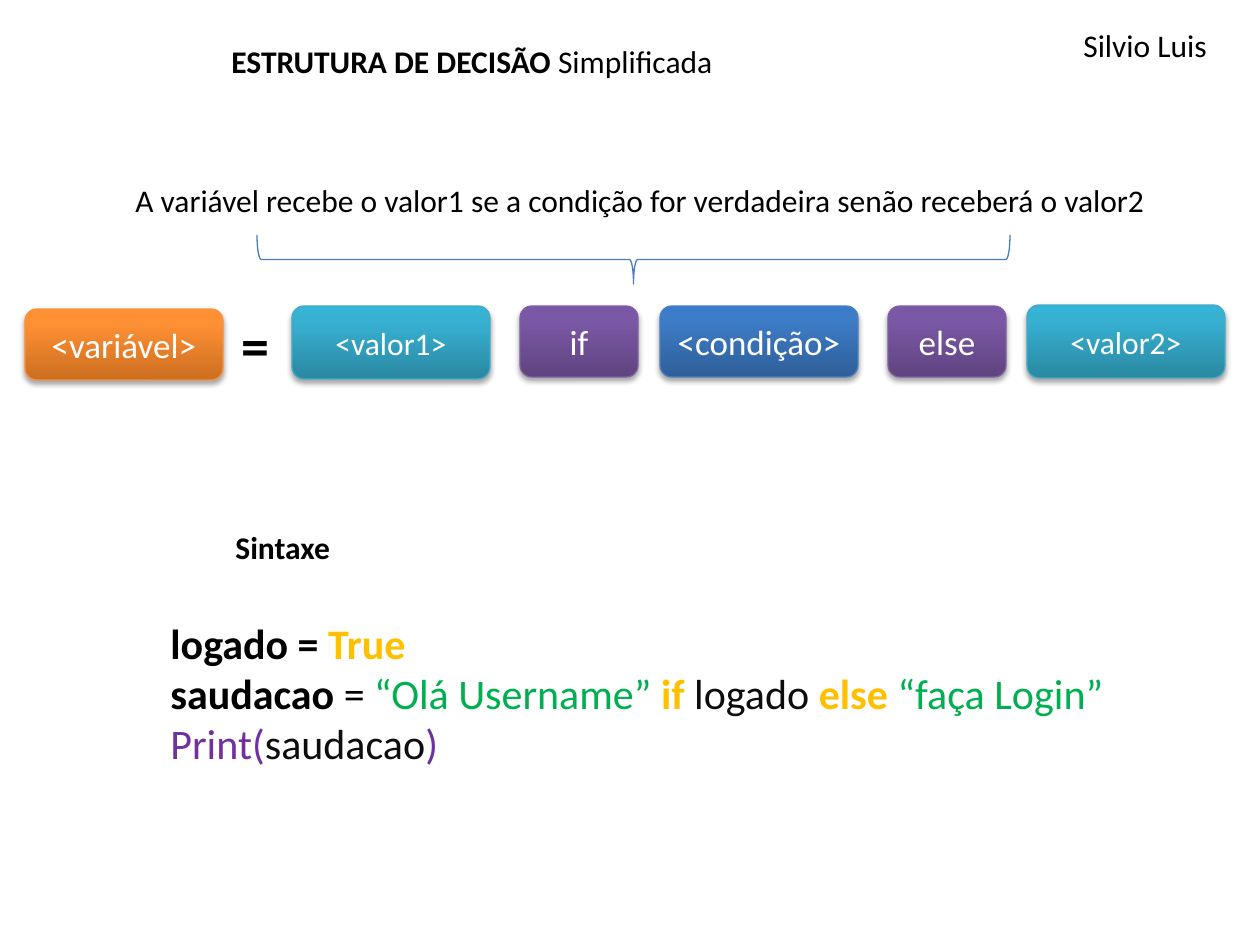
import pptx
import pptx.dml.color
import pptx.enum.shapes
import pptx.enum.text
import pptx.oxml
import pptx.oxml.ns
import pptx.util

SCALE = 914400 / 126  # EMU per px
SHAPES = pptx.enum.shapes.MSO_SHAPE
TEXT = pptx.enum.text

BLACK, WHITE, INK = "000000", "FFFFFF", "0D0D0D"
GOLD, GREEN, VIOLET = "FFC000", "00B050", "7030A0"

# Gradient from bottom to top (0, 80 and 100 %), then the outline
ORANGE = ("CC6E20", "FF9034", "FF9136", "F69240")
TEAL = ("2A88A2", "37B1D2", "34B4D6", "46AAC5")
PURPLE = ("5F4480", "7B58A6", "7C57A8", "7D60A0")
BLUE = ("2F5F99", "3D7CC7", "3A7CCB", "4B7EBC")


def px(length):
    return pptx.util.Emu(round(length * SCALE))


def color(code):
    return pptx.dml.color.RGBColor.from_string(code)


def element(markup):
    tag, rest = markup.split(" ", 1)
    return pptx.oxml.parse_xml(f"{tag} {pptx.oxml.ns.nsdecls('a')} {rest}")


class Page:
    font = "Calibri"
    line_width = pptx.util.Pt(0.75)

    def __init__(self, deck):
        self.slide = deck.slides.add_slide(deck.slide_layouts[6])

    def add_spans(self, para, size, runs):
        for text, code, bold in runs:
            span = para.add_run()
            span.text = text
            span.font.name = self.font
            span.font.size = pptx.util.Pt(size)
            span.font.bold = bold
            span.font.color.rgb = color(code)

    def text(self, place, size, *lines, wrap=False):
        box = self.slide.shapes.add_textbox(*map(px, place))
        frame = box.text_frame
        frame.word_wrap = wrap
        frame.auto_size = TEXT.MSO_AUTO_SIZE.SHAPE_TO_FIT_TEXT
        for index, runs in enumerate(lines):
            para = frame.add_paragraph() if index else frame.paragraphs[0]
            self.add_spans(para, size, runs)

    def shape(self, kind, place, outline):
        shape = self.slide.shapes.add_shape(kind, *map(px, place))
        shape.shadow.inherit = False
        shape.line.color.rgb = color(outline)
        shape.line.width = self.line_width
        return shape

    def block(self, place, label, size, palette):
        *shades, outline = palette
        block = self.shape(SHAPES.ROUNDED_RECTANGLE, place, outline)
        # Three-stop gradient
        block.fill.gradient()
        block.fill.gradient_angle = 90
        stops = block._element.spPr.find(".//" + pptx.oxml.ns.qn("a:gsLst"))
        stops.clear()
        for position, shade in zip((0, 80, 100), shades):
            stops.append(element(
                f'<a:gs pos="{position * 1000}"><a:srgbClr val="{shade}"/></a:gs>'))
        # Soft shadow below
        effects = block._element.spPr.find(pptx.oxml.ns.qn("a:effectLst"))
        effects.append(element(
            f'<a:outerShdw blurRad="{pptx.util.Pt(3.1)}" dist="{pptx.util.Pt(1.8)}" '
            'dir="5400000" rotWithShape="0"><a:srgbClr val="000000">'
            '<a:alpha val="35000"/></a:srgbClr></a:outerShdw>'))
        # Centred label
        frame = block.text_frame
        frame.word_wrap = True
        frame.vertical_anchor = TEXT.MSO_ANCHOR.MIDDLE
        para = frame.paragraphs[0]
        para.alignment = TEXT.PP_ALIGN.CENTER
        self.add_spans(para, size, [(label, WHITE, False)])

    def brace(self, place, outline):
        brace = self.shape(SHAPES.RIGHT_BRACE, place, outline)
        brace.fill.background()
        brace.rotation = 90


def main():
    deck = pptx.Presentation()
    deck.slide_width, deck.slide_height = px(1260), px(945)
    page = Page(deck)

    # Header
    page.text((1071, 20, 150, 50), 18, [("Silvio Luis", BLACK, False)])
    page.text((219, 36, 828, 50), 18, [("ESTRUTURA DE DECISÃO ", BLACK, True),
                                       ("Simplificada", BLACK, False)], wrap=True)

    # Building blocks of the expression
    wide, narrow = 198, 118
    for left, top, width, height, label, size, palette in (
        (25, 309, wide, 71, "<variável>", 20, ORANGE),
        (292, 306, wide, 73, "<valor1>", 18, TEAL),
        (520, 306, narrow, 71, "if", 20, PURPLE),
        (660, 306, wide, 71, "<condição>", 20, BLUE),
        (888, 306, narrow, 71, "else", 20, PURPLE),
        (1027, 305, wide, 73, "<valor2>", 18, TEAL),
    ):
        page.block((left, top, width, height), label, size, palette)
    page.text((229, 304, 54, 81), 32, [("=", BLACK, True)])

    # Explanation and brace
    page.text((123, 175, 1047, 50), 18, [
        ("A variável recebe o valor1 se a condição for verdadeira "
         "senão receberá o valor2", BLACK, False)])
    page.brace((609, -117, 49, 753), BLUE[-1])

    # Syntax example
    page.text((223, 522, 828, 50), 18, [("Sintaxe", BLACK, True)], wrap=True)
    page.text(
        (158, 611, 966, 165), 24,
        [("logado = ", BLACK, True), ("True", GOLD, True)],
        [("saudacao", BLACK, True), (" = ", BLACK, False),
         ("“Olá Username” ", GREEN, False), ("if ", GOLD, True),
         ("logado ", INK, False), ("else ", GOLD, True),
         ("“faça Login”", GREEN, False)],
        [("Print(", VIOLET, False), ("saudacao", INK, False), (")", VIOLET, False)],
    )

    deck.save("out.pptx")


if __name__ == "__main__":
    main()
